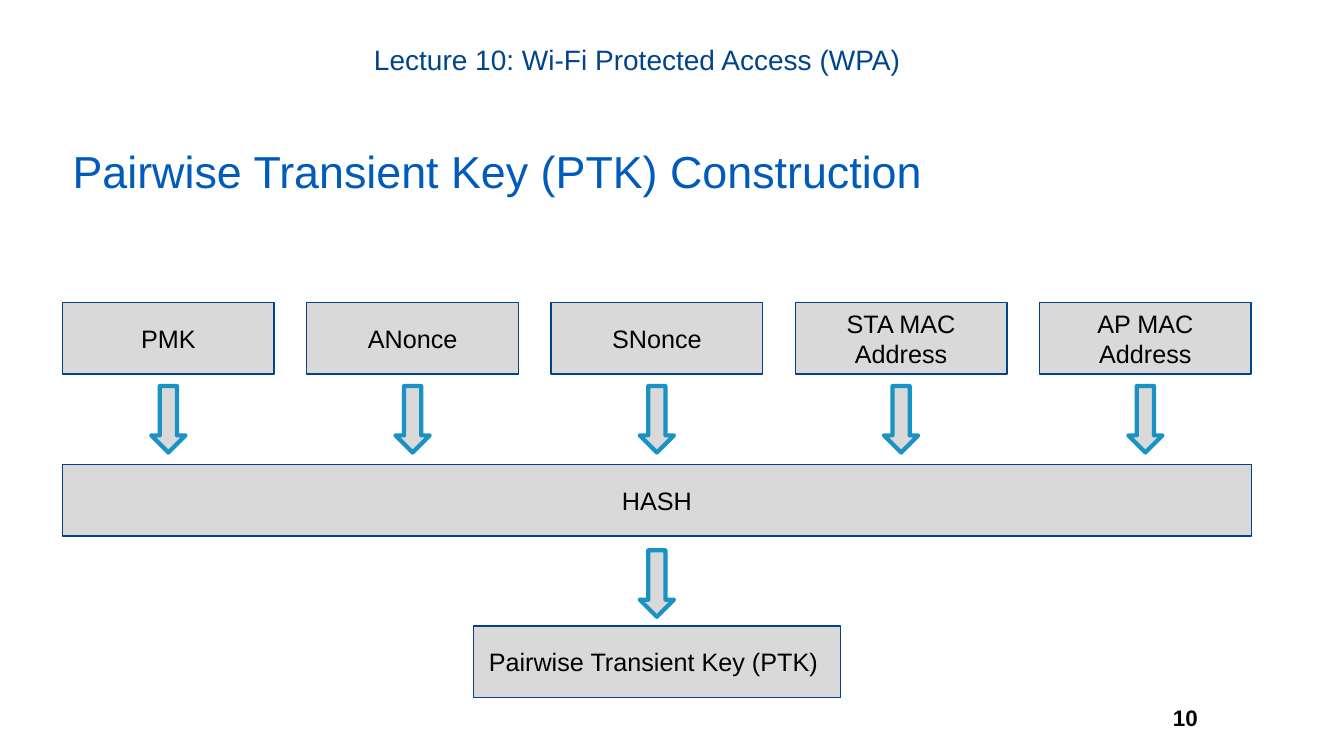
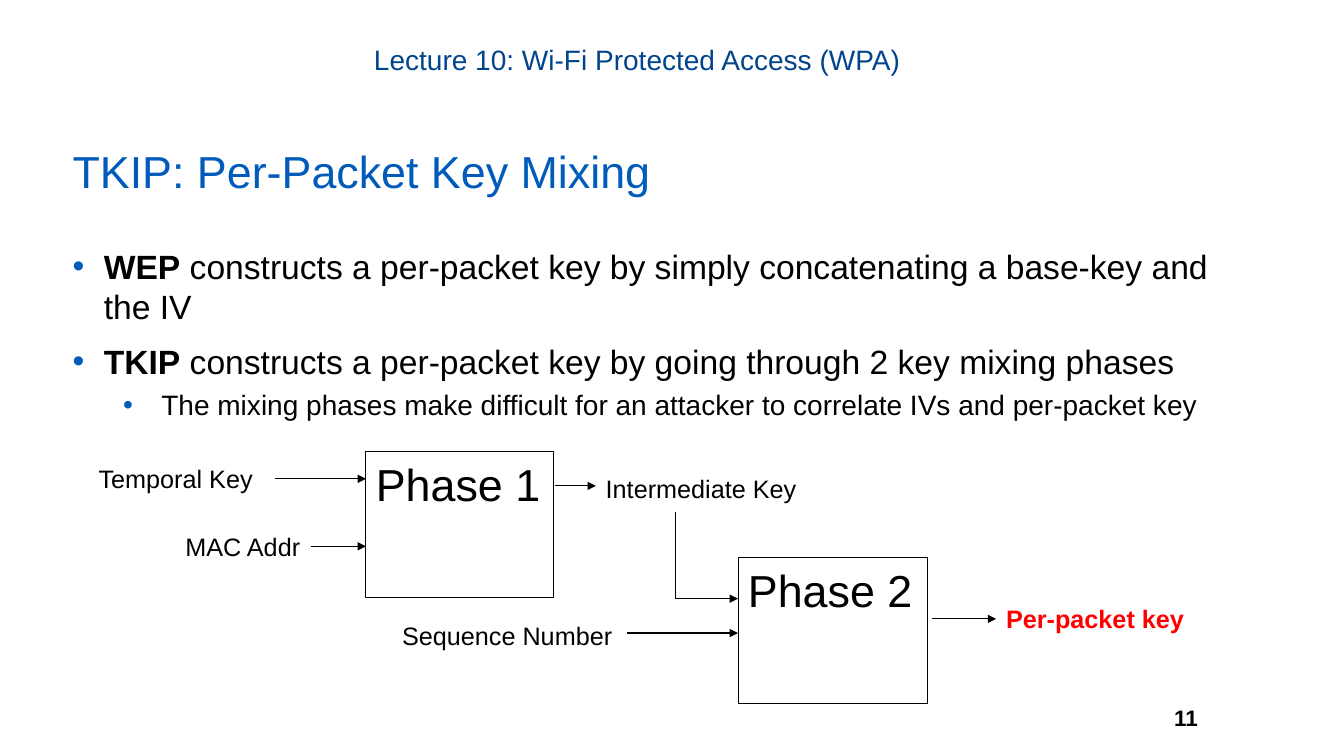
import pptx
import pptx.dml.color
import pptx.enum.shapes
import pptx.enum.text
import pptx.oxml.ns
import pptx.util
import lxml.etree

SHAPES = pptx.enum.shapes.MSO_SHAPE
ALIGN = pptx.enum.text.PP_ALIGN
ANCHOR = pptx.enum.text.MSO_ANCHOR
CELL = 0.1  # side of a grid cell in inches; all lengths count cells
COLUMNS, ROWS = 133.3, 75
MARGIN = 6.2
COLORS = {
    "title": "005BBB", "header": "00448C", "text": "000000", "alert": "FF0000",
    "box": "D9D9D9", "border": "00438A", "arrow": "1A92C4",
}
BULLETS = [  # left margin, hanging indent, space before, text size
    {"margin": 3.1, "hang": 3.1, "before": 10, "size": 24},
    {"margin": 8.8, "hang": 3.8, "before": 5, "size": 20},
]


def cells(count):
    return pptx.util.Inches(count * CELL)


def rgb(color):
    return pptx.dml.color.RGBColor.from_string(COLORS[color])


def set_all(target, values):
    for name, value in values.items():
        setattr(target, name, value)


def add_element(parent, tag, **attributes):
    return lxml.etree.SubElement(parent, pptx.oxml.ns.qn(tag), attributes)


class Deck:
    """Holds the shared style and the slide being filled."""

    def __init__(self, first_number):
        self.presentation = pptx.Presentation()
        set_all(self.presentation, {"slide_width": cells(COLUMNS), "slide_height": cells(ROWS)})
        self.number = first_number
        self.slide = None

    def new_slide(self, title, layout):
        self.slide = self.presentation.slides.add_slide(self.presentation.slide_layouts[layout])
        self.label((112.2, 68.3, 7.9, 5.8), str(self.number), 16, bold=True,
                   align=ALIGN.RIGHT, anchor=ANCHOR.MIDDLE, insets=(1.3, 0.7, 1.3, 0.7))
        self.label((27.4, 3.7, 72.6, 3.7), "Lecture 10: Wi-Fi Protected Access (WPA)", 20,
                   color="header", align=ALIGN.CENTER, insets=(0, 0.5, 1, 0.5))
        self.place(self.slide.shapes.title, (MARGIN, 14.4, 115, 9.5))
        self.fill_text(self.slide.shapes.title, title, 32, color="title", spacing=0.9)
        self.number += 1

    def place(self, shape, area):
        set_all(shape, dict(zip(("left", "top", "width", "height"), map(cells, area))))

    def frame(self, shape, anchor=ANCHOR.TOP, insets=(1, 0.5, 1, 0.5)):
        sides = ("margin_left", "margin_top", "margin_right", "margin_bottom")
        set_all(shape.text_frame, {
            "word_wrap": True, "auto_size": pptx.enum.text.MSO_AUTO_SIZE.NONE,
            "vertical_anchor": anchor, **dict(zip(sides, map(cells, insets)))})
        return shape.text_frame

    def add_words(self, paragraph, text, size, color="text", bold=False):
        run = paragraph.add_run()
        run.text = text
        set_all(run.font, {"name": "Arial", "size": pptx.util.Pt(size), "bold": bold})
        run.font.color.rgb = rgb(color)

    def fill_text(self, shape, text, size, color="text", bold=False, align=ALIGN.LEFT,
                  spacing=1.0, **frame_values):
        paragraph = self.frame(shape, **frame_values).paragraphs[0]
        set_all(paragraph, {"alignment": align, "line_spacing": spacing})
        self.add_words(paragraph, text, size, color, bold)

    def label(self, area, text, size=18, **values):
        shape = self.slide.shapes.add_textbox(*map(cells, area))
        self.fill_text(shape, text, size, **values)
        return shape

    def shape(self, kind, area, fill, line, width):
        shape = self.slide.shapes.add_shape(kind, *map(cells, area))
        shape.shadow.inherit = False
        if fill:
            shape.fill.solid()
            shape.fill.fore_color.rgb = rgb(fill)
        else:
            shape.fill.background()
        shape.line.color.rgb = rgb(line)
        shape.line.width = pptx.util.Pt(width)
        return shape

    def box(self, area, text):
        shape = self.shape(SHAPES.RECTANGLE, area, "box", "border", 1)
        self.fill_text(shape, text, 18, align=ALIGN.CENTER, anchor=ANCHOR.MIDDLE)

    def phase(self, area, text):
        self.fill_text(self.shape(SHAPES.RECTANGLE, area, None, "text", 0.75), text, 32)

    def down_arrow(self, center, top):
        self.shape(SHAPES.DOWN_ARROW, (center - 1.7, top, 3.4, 6.6), "box", "arrow", 3)

    def line(self, start, end, head=True):
        connector = self.slide.shapes.add_connector(
            pptx.enum.shapes.MSO_CONNECTOR.STRAIGHT, *map(cells, start + end))
        connector.line.color.rgb = rgb("text")
        connector.line.width = pptx.util.Pt(0.75)
        if head:
            add_element(connector.get_or_add_ln(), "a:tailEnd", type="triangle")
        add_element(connector.element.spPr, "a:effectLst")
        return connector

    def bullets(self, area, items):
        body = self.slide.placeholders[1]
        self.place(body, area)
        text_frame = self.frame(body)
        for index, (level, pieces) in enumerate(items):
            style = BULLETS[level]
            paragraph = text_frame.add_paragraph() if index else text_frame.paragraphs[0]
            properties = paragraph._p.get_or_add_pPr()
            properties.set("marL", str(cells(style["margin"])))
            properties.set("indent", str(-cells(style["hang"])))
            add_element(add_element(properties, "a:buClr"), "a:srgbClr", val=COLORS["title"])
            add_element(properties, "a:buFont", typeface="Arial")
            add_element(properties, "a:buChar", char="•")
            set_all(paragraph, {
                "level": level, "alignment": ALIGN.LEFT, "line_spacing": 1.0,
                "space_before": pptx.util.Pt(style["before"] if index else 0)})
            for text, bold in pieces:
                self.add_words(paragraph, text, style["size"], bold=bold)


def key_construction(deck):
    deck.new_slide("Pairwise Transient Key (PTK) Construction", layout=5)
    inputs = ["PMK", "ANonce", "SNonce", "STA MAC Address", "AP MAC Address"]
    full_width, width, height = 117.9, 21, 7.1
    column_step = (full_width - width) / (len(inputs) - 1)
    input_top, hash_top, result_top = 30, 46.1, 62.1
    middle = MARGIN + full_width / 2

    # Inputs, each feeding the hash
    for index, text in enumerate(inputs):
        left = MARGIN + index * column_step
        deck.box((left, input_top, width, height), text)
        deck.down_arrow(left + width / 2, 38.3)

    # Hash and its result
    deck.box((MARGIN, hash_top, full_width, height), "HASH")
    deck.down_arrow(middle, 54.6)
    deck.box((middle - 18.2, result_top, 36.4, height), "Pairwise Transient Key (PTK) ")


def key_mixing(deck):
    deck.new_slide("TKIP: Per-Packet Key Mixing", layout=1)
    deck.bullets((MARGIN, 23.9, 115, 18.7), [
        (0, [("WEP", True),
             (" constructs a per-packet key by simply concatenating a base-key and the IV", False)]),
        (0, [("TKIP", True),
             (" constructs a per-packet key by going through 2 key mixing phases", False)]),
        (1, [("The mixing phases make difficult for an attacker to correlate IVs"
              " and per-packet key", False)]),
    ])

    # Phases
    deck.phase((36.3, 44.8, 18.6, 14.5), "Phase 1")
    deck.phase((73.2, 55.3, 18.8, 14.5), "Phase 2")

    # Keys and values that go in and out
    for left, top, width, text in [
        (8.8, 45.5, 18, "Temporal Key"),
        (17.4, 52.2, 13.8, "MAC Addr"),
        (59.1, 46.5, 21.4, "Intermediate Key"),
        (38.9, 61.1, 23.3, "Sequence Number"),
    ]:
        deck.label((left, top, width, 4), text)
    packet_key = deck.label((98.8, 59.4, 19.9, 4), "Per-packet key", color="alert", bold=True)

    # Flow lines
    for start, end, head in [
        ((27.3, 47.5), (36.3, 47.5), True),
        ((30.8, 54.2), (36.3, 54.2), True),
        ((55, 48.2), (59.1, 48.2), True),
        ((67, 50.8), (67, 59.4), False),
        ((67, 59.4), (73.2, 59.4), True),
        ((62.2, 62.8), (73.2, 62.8), True),
    ]:
        deck.line(start, end, head)
    deck.line((92.4, 61.4), (98.8, 61.4)).end_connect(packet_key, 1)


def main():
    deck = Deck(first_number=10)
    key_construction(deck)
    key_mixing(deck)
    deck.presentation.save("out.pptx")


if __name__ == "__main__":
    main()
